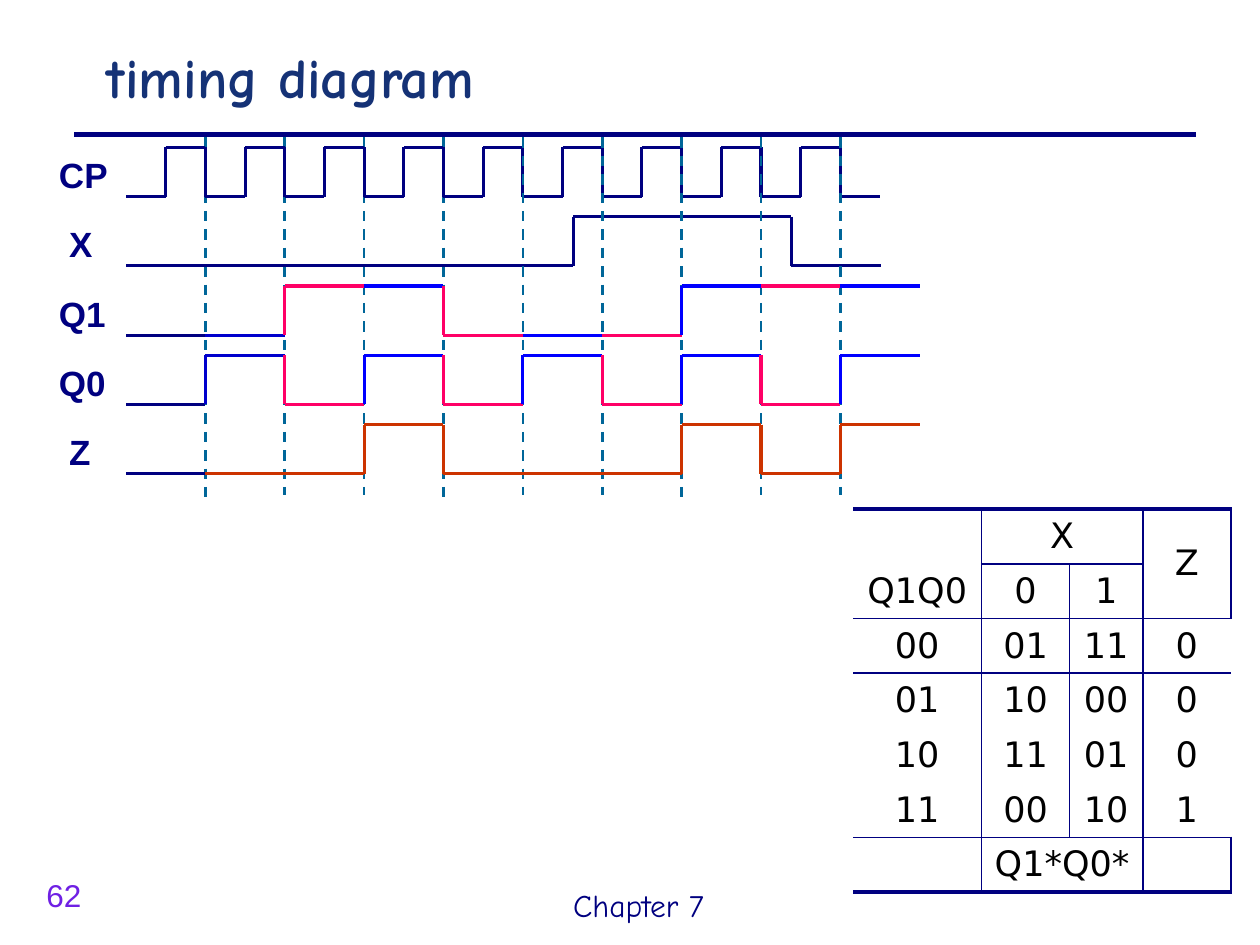
from lxml import etree
from pptx import Presentation
from pptx import util as u
from pptx.dml import color
from pptx.enum import dml, shapes, text
from pptx.oxml import ns

COLORS = {
    "navy": "000080", "dash": "006699", "title": "153276", "number": "6F20E4",
    "start": "0000CC", "blue": "0000FF", "pink": "FF0066", "orange": "CC3300",
    "black": "000000",
}

prs = Presentation()
prs.slide_width, prs.slide_height = u.Inches(10), u.Inches(7.5)
s = prs.slides.add_slide(prs.slide_layouts[6])


def add_line(x1, y1, x2, y2, tint="navy", width=1.75, dashed=False):
    c = s.shapes.add_connector(
        shapes.MSO_CONNECTOR.STRAIGHT, *(u.Inches(v) for v in (x1, y1, x2, y2)))
    c.line.width = u.Pt(width)
    c.line.color.rgb = color.RGBColor.from_string(COLORS[tint])
    if dashed:
        c.line.dash_style = dml.MSO_LINE.DASH
    etree.SubElement(c._element.spPr, ns.qn("a:effectLst"))


def write(tf, words, font, size, tint, bold=False, align=text.PP_ALIGN.LEFT):
    tf.word_wrap = True
    tf.vertical_anchor = text.MSO_ANCHOR.MIDDLE
    p = tf.paragraphs[0]
    p.alignment = align
    r = p.add_run()
    r.text = words
    for name, value in {"name": font, "size": u.Pt(size), "bold": bold}.items():
        setattr(r.font, name, value)
    r.font.color.rgb = color.RGBColor.from_string(COLORS[tint])


add_line(0.59, 1.07, 9.49, 1.07, width=3)

left, period, first_top, pitch, swing = 1, 0.63, 1.17, 0.55, 0.39
cycles = [left + period * i for i in range(11)]
halves = [left + period / 2 * i for i in range(20)]
state_tints = ["navy", "start"] + ["pink", "blue"] * 4
waves = [
    ("CP", halves, "0101010101010101010", ["navy"] * 19),
    ("X", [left, 4.55, 6.28, 6.99], "010", ["navy"] * 3),
    ("Q1", cycles, "0011000111", state_tints),
    ("Q0", cycles, "0101010101", state_tints),
    ("Z", cycles, "0001000101", ["navy"] + ["orange"] * 9),
]

for clocks, rows in ((range(1, 5), range(2)), (range(5, 10), range(2, 5))):
    for i in clocks:
        bottom = 4.01 if i % 3 == 1 else 3.93
        add_line(cycles[i], 1.09, cycles[i], bottom, "dash", 1.5, True)
    for row in rows:
        label, xs, levels, tints = waves[row]
        top = first_top + pitch * row
        ys = [top + swing * (level == "0") for level in levels]
        for i, tint in enumerate(tints):
            if i and ys[i] != ys[i - 1]:
                add_line(xs[i], ys[i - 1], xs[i], ys[i], tint)
            add_line(xs[i], ys[i], xs[i + 1], ys[i], tint)

labels = [
    (0.75, 0.21, 8.74, 0.79, "timing diagram", "Comic Neue", 32, "title", True),
    (4.45, 6.98, 1.42, 0.4, "Chapter 7", "Comic Neue", 18, "navy", False),
    (0.27, 6.9, 0.71, 0.4, "62", "Arial", 18, "number", False),
]
for row, (label, *_) in enumerate(waves):
    x = 0.45 if len(label) == 1 else 0.37
    labels.append((x, first_top + pitch * row, 0.63, 0.43, label, "Arial", 20, "navy", True))
for x, y, w, h, *style in labels:
    sp = s.shapes.add_textbox(*(u.Inches(v) for v in (x, y, w, h)))
    write(sp.text_frame, *style)

states = [
    ["", "X", "", "Z"],
    ["Q1Q0", "0", "1", ""],
    ["00", "01", "11", "0"],
    ["01", "10", "00", "0"],
    ["10", "11", "01", "0"],
    ["11", "00", "10", "1"],
    ["", "Q1*Q0*", "", ""],
]
frame = s.shapes.add_table(7, 4, u.Inches(6.77), u.Inches(4.04), u.Inches(3), u.Inches(3.04))
table = frame.table
table.first_row = table.horz_banding = False
frame._element.find(".//" + ns.qn("a:tableStyleId")).text = "{2D5ABB26-0587-4C30-8999-92F81FD0307C}"
for column, width in zip(table.columns, (1.02, 0.7, 0.58, 0.7)):
    column.width = u.Inches(width)
for row in table.rows:
    row.height = u.Inches(3.04 / 7)
for start, end in (((0, 1), (0, 2)), ((0, 3), (1, 3)), ((6, 1), (6, 2))):
    table.cell(*start).merge(table.cell(*end))

rules_across = {0: 2.25, 2: 1, 6: 1, 7: 2.25}
rules_down = {1: 1, 3: 1}
for i, row in enumerate(states):
    for j, words in enumerate(row):
        cell = table.cell(i, j)
        if words:
            write(cell.text_frame, words, "DejaVu Sans", 20, "black", align=text.PP_ALIGN.CENTER)
        cell.vertical_anchor = text.MSO_ANCHOR.MIDDLE
        across = {**rules_across, 1: 1} if j in (1, 2) else rules_across
        edges = {"lnL": rules_down.get(j), "lnR": rules_down.get(j + 1),
                 "lnT": across.get(i), "lnB": across.get(i + 1)}
        tcPr = cell._tc.get_or_add_tcPr()
        for tag, width in edges.items():
            if width:
                ln = etree.SubElement(tcPr, ns.qn("a:" + tag), w=str(u.Pt(width)))
                fill = etree.SubElement(ln, ns.qn("a:solidFill"))
                etree.SubElement(fill, ns.qn("a:srgbClr"), val=COLORS["navy"])
        cell.fill.background()

prs.save("out.pptx")
